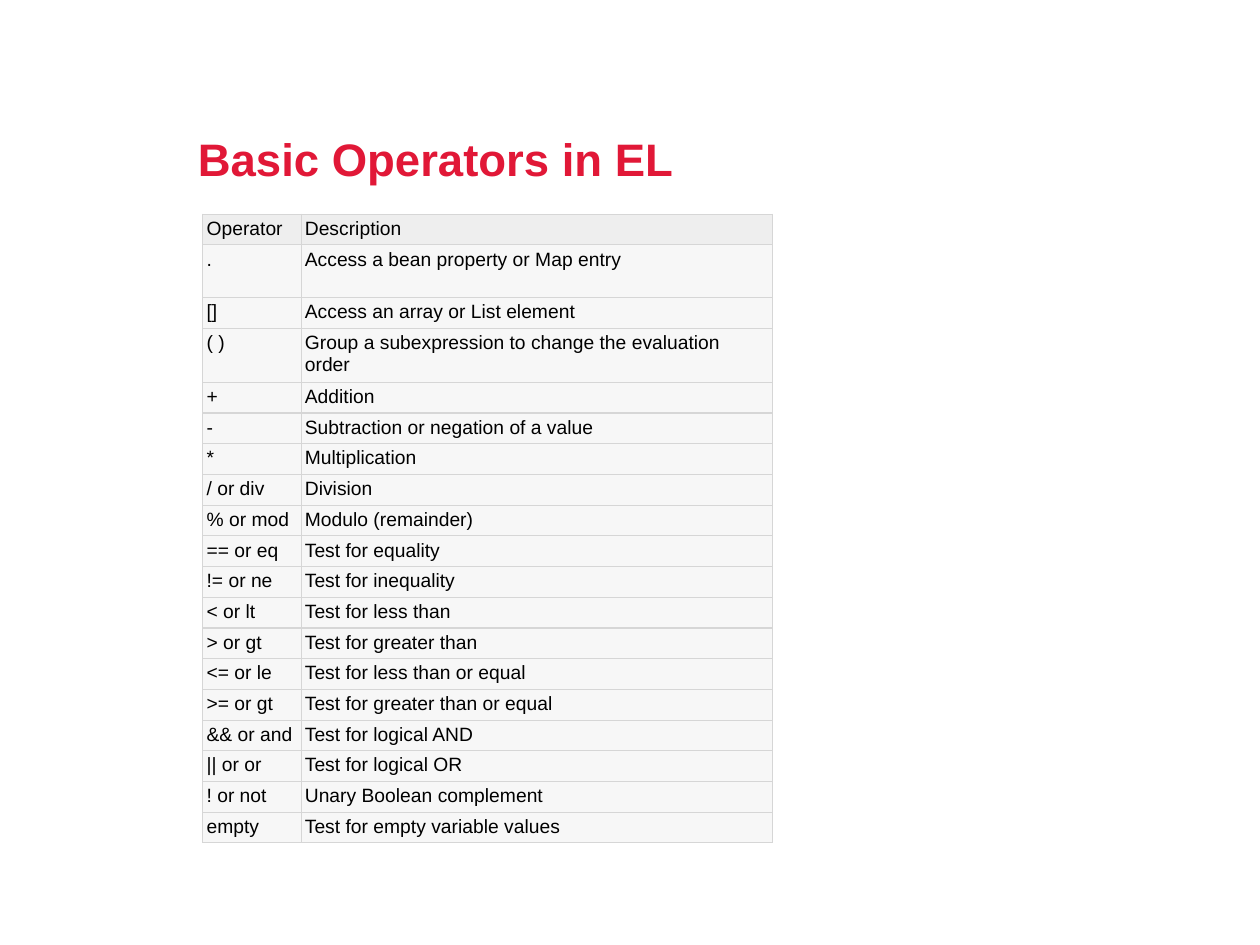
from lxml import etree
from pptx import Presentation
from pptx.dml.color import RGBColor
from pptx.enum.text import MSO_ANCHOR
from pptx.oxml.ns import qn
from pptx.util import Inches, Pt

BOTTOM = MSO_ANCHOR.BOTTOM
FONT = "Arial"
COLORS = {"title": "E11837", "text": "000000", "header": "EEEEEE",
          "body": "F7F7F7", "border": "D6D6D6"}
COL_WIDTHS = (0.78, 3.74)
ROW_HEIGHT, TALL_HEIGHT = 0.24, 0.42
TALL_ROWS = (1, 3)
OPERATORS = [
    ("Operator", "Description"),
    (".", "Access a bean property or Map entry"),
    ("[]", "Access an array or List element"),
    ("( )", "Group a subexpression to change the evaluation order"),
    ("+", "Addition"),
    ("-", "Subtraction or negation of a value"),
    ("*", "Multiplication"),
    ("/ or div", "Division"),
    ("% or mod", "Modulo (remainder)"),
    ("== or eq", "Test for equality"),
    ("!= or ne", "Test for inequality"),
    ("< or lt", "Test for less than"),
    ("> or gt", "Test for greater than"),
    ("<= or le", "Test for less than or equal"),
    (">= or gt", "Test for greater than or equal"),
    ("&& or and", "Test for logical AND"),
    ("|| or or", "Test for logical OR"),
    ("! or not", "Unary Boolean complement"),
    ("empty", "Test for empty variable values"),
]


def add_run(p, text, size, color, bold=False):
    """Add one styled run to a paragraph."""
    r = p.add_run()
    r.text = text
    r.font.name = FONT
    r.font.size = Pt(size)
    r.font.bold = bold
    r.font.color.rgb = RGBColor.from_string(COLORS[color])


def add_title(s, left, top, width, height, text):
    """Place the slide title in its box."""
    tf = s.shapes.add_textbox(Inches(left), Inches(top),
                              Inches(width), Inches(height)).text_frame
    tf.word_wrap = True
    tf.vertical_anchor = BOTTOM
    tf.margin_left = 0
    p = tf.paragraphs[0]
    p.line_spacing = 0.9
    add_run(p, text, 26, "title", True)


def add_borders(cell):
    """Draw a thin line on all four sides of a cell."""
    tc_pr = cell._tc.get_or_add_tcPr()
    for side in ("a:lnL", "a:lnR", "a:lnT", "a:lnB"):
        ln = etree.SubElement(tc_pr, qn(side), w=str(Pt(0.75)))
        fill = etree.SubElement(ln, qn("a:solidFill"))
        etree.SubElement(fill, qn("a:srgbClr"), val=COLORS["border"])


def fill_cell(cell, text, fill):
    """Set the text, margins, borders and fill of a cell."""
    cell.margin_left = cell.margin_right = Inches(0.03)
    cell.margin_top = cell.margin_bottom = Inches(0.03)
    add_run(cell.text_frame.paragraphs[0], text, 11, "text")
    add_borders(cell)
    cell.fill.solid()
    cell.fill.fore_color.rgb = RGBColor.from_string(COLORS[fill])


def add_operator_table(s, left, top, rows):
    """Place the operator table with its top left corner at the given point."""
    heights = [TALL_HEIGHT if i in TALL_ROWS else ROW_HEIGHT
               for i in range(len(rows))]
    table = s.shapes.add_table(len(rows), len(COL_WIDTHS), Inches(left), Inches(top),
                               Inches(sum(COL_WIDTHS)), Inches(sum(heights))).table
    table.horz_banding = False
    for col, width in zip(table.columns, COL_WIDTHS):
        col.width = Inches(width)
    for i, (row, height, texts) in enumerate(zip(table.rows, heights, rows)):
        row.height = Inches(height)
        for cell, text in zip(row.cells, texts):
            fill_cell(cell, text, "body" if i else "header")


def main():
    """Build and save the slide."""
    prs = Presentation()
    prs.slide_width, prs.slide_height = Inches(10), Inches(7.5)
    s = prs.slides.add_slide(prs.slide_layouts[6])
    add_title(s, 1.57, 0.98, 7.79, 0.55, "Basic Operators in EL")
    add_operator_table(s, 1.61, 1.7, OPERATORS)
    prs.save("out.pptx")


main()
